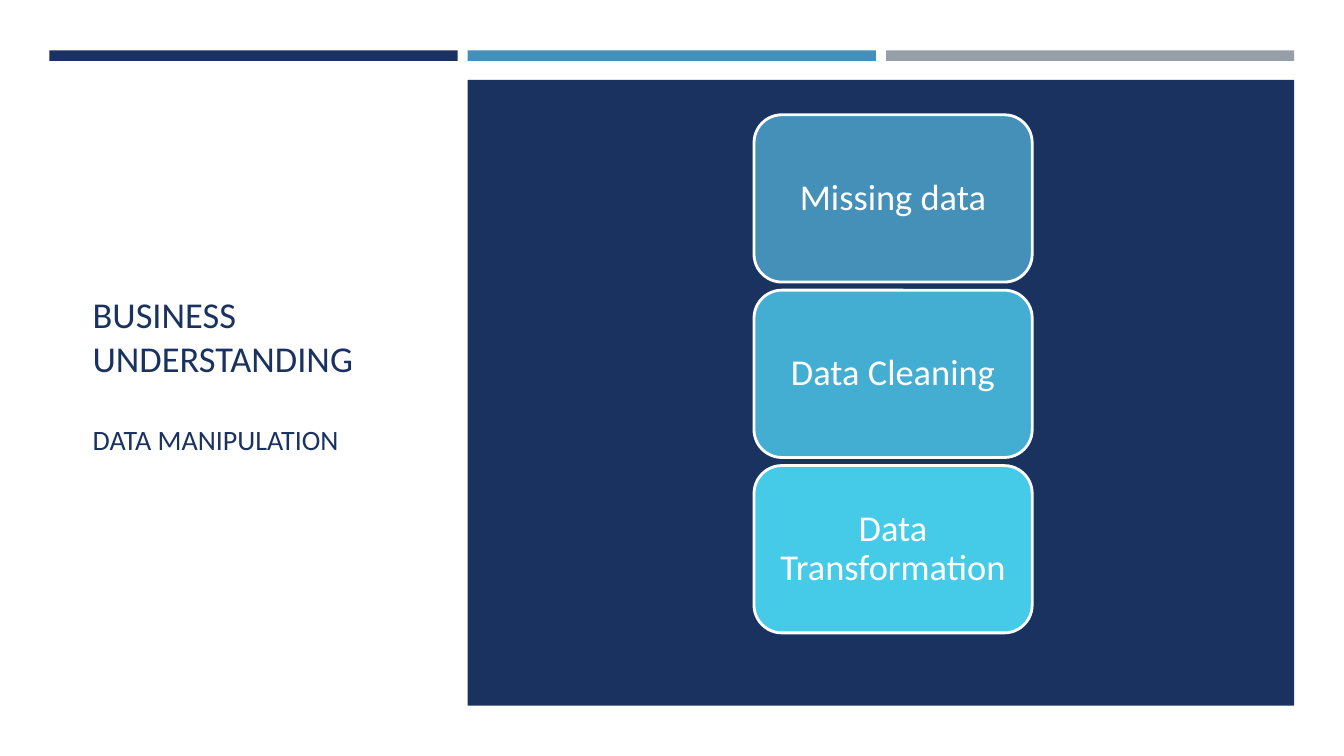
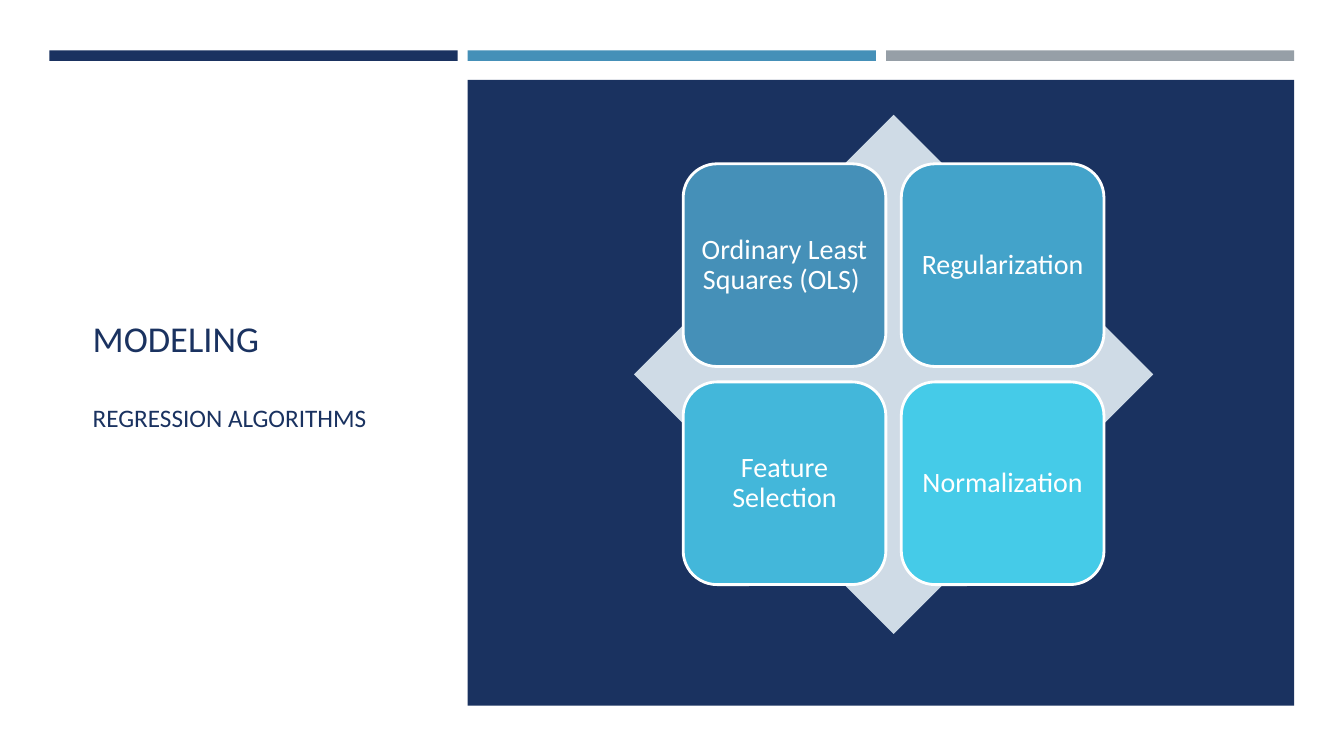
from dataclasses import dataclass

from pptx import Presentation
from pptx.dml.color import RGBColor
from pptx.enum.shapes import MSO_SHAPE
from pptx.enum.text import MSO_ANCHOR, MSO_AUTO_SIZE, PP_ALIGN
from pptx.util import Pt


@dataclass(frozen=True)
class Theme:
    font: str = "Calibri"
    navy: str = "1A3260"
    blue: str = "4590B8"
    grey: str = "969FA7"
    pale: str = "CFDBE6"
    white: str = "FFFFFF"
    stack_fills: tuple = ("4590B8", "43ADD2", "45CBE8")
    grid_fills: tuple = ("4590B8", "43A3CA", "43B7DA", "45CBE8")
    heading_size: int = 26
    stack_size: int = 26
    grid_size: int = 20


BAND_LEFT, BAND_WIDTH, BAND_GAP = 35.3, 291.6, 7.2
BAND_PITCH = BAND_WIDTH + BAND_GAP
CONTENT_TOP, CONTENT_HEIGHT = 82, 370.8


def apply(target, values):
    for name, value in values.items():
        setattr(target, name, value)


class Deck:
    def __init__(self, theme):
        self.theme = theme
        self.presentation = Presentation()
        apply(self.presentation, {"slide_width": Pt(960), "slide_height": Pt(540)})
        self.slide = None

    def new_slide(self, heading, subheading, subheading_size):
        self.slide = self.presentation.slides.add_slide(self.presentation.slide_layouts[5])
        backdrop = self.slide.background.fill
        backdrop.solid()
        backdrop.fore_color.rgb = RGBColor.from_string(self.theme.white)
        self.title(heading, subheading, subheading_size)
        self.frame()

    def title(self, heading, subheading, subheading_size):
        title = self.slide.shapes.title
        apply(title, {"left": Pt(59), "top": Pt(CONTENT_TOP),
                      "width": Pt(240.5), "height": Pt(CONTENT_HEIGHT)})
        frame = title.text_frame
        apply(frame, {"word_wrap": True, "auto_size": MSO_AUTO_SIZE.NONE,
                      "vertical_anchor": MSO_ANCHOR.MIDDLE})
        first, second = frame.paragraphs[0], frame.add_paragraph()
        self.text(first, heading, self.theme.heading_size, self.theme.navy, PP_ALIGN.LEFT)
        self.text(second, subheading, subheading_size, self.theme.navy, PP_ALIGN.LEFT)
        second.space_before = Pt(31)

    def text(self, paragraph, words, size, colour, alignment):
        paragraph.text = words
        paragraph.alignment = alignment
        apply(paragraph.font, {"name": self.theme.font, "size": Pt(size)})
        paragraph.font.color.rgb = RGBColor.from_string(colour)

    def block(self, preset, left, top, width, height, fill):
        block = self.slide.shapes.add_shape(preset, Pt(left), Pt(top), Pt(width), Pt(height))
        block.shadow.inherit = False
        block.fill.solid()
        block.fill.fore_color.rgb = RGBColor.from_string(fill)
        block.line.fill.background()
        return block

    def frame(self):
        theme = self.theme
        for index, fill in enumerate((theme.navy, theme.blue, theme.grey)):
            self.block(MSO_SHAPE.RECTANGLE, BAND_LEFT + index * BAND_PITCH, 36,
                       BAND_WIDTH, 7.5, fill)
        self.block(MSO_SHAPE.RECTANGLE, BAND_LEFT + BAND_PITCH, 57,
                   BAND_PITCH + BAND_WIDTH, 447, theme.navy)

    def diamond(self, left, top, side):
        self.block(MSO_SHAPE.DIAMOND, left, top, side, side, self.theme.pale)

    def tile(self, label, left, top, width, height, fill, size):
        tile = self.block(MSO_SHAPE.ROUNDED_RECTANGLE, left, top, width, height, fill)
        tile.line.color.rgb = RGBColor.from_string(self.theme.white)
        tile.line.width = Pt(2)
        frame = tile.text_frame
        apply(frame, {"word_wrap": True, "vertical_anchor": MSO_ANCHOR.MIDDLE,
                      "margin_left": Pt(5), "margin_right": Pt(5),
                      "margin_top": Pt(4), "margin_bottom": Pt(4)})
        paragraph = frame.paragraphs[0]
        self.text(paragraph, label, size, self.theme.white, PP_ALIGN.CENTER)
        paragraph.line_spacing = 0.9

    def tiles(self, labels, fills, columns, left, top, width, height, gap, size):
        for index, (label, fill) in enumerate(zip(labels, fills)):
            row, column = divmod(index, columns)
            self.tile(label, left + column * (width + gap), top + row * (height + gap),
                      width, height, fill, size)


def main():
    theme = Theme()
    deck = Deck(theme)

    deck.new_slide("BUSINESS UNDERSTANDING", "DATA MANIPULATION", 20)
    deck.tiles(("Missing data", "Data Cleaning", "Data Transformation"),
               theme.stack_fills, columns=1, left=538.6, top=CONTENT_TOP,
               width=198.7, height=119.5, gap=5.8, size=theme.stack_size)

    deck.new_slide("MODELING", "REGRESSION ALGORITHMS", 18)
    deck.diamond(452.9, CONTENT_TOP, CONTENT_HEIGHT)
    deck.tiles(("Ordinary Least Squares (OLS) ", "Regularization",
                "Feature Selection", "Normalization"),
               theme.grid_fills, columns=2, left=488, top=117,
               width=144.8, height=144.8, gap=11, size=theme.grid_size)

    deck.presentation.save("out.pptx")


if __name__ == "__main__":
    main()
